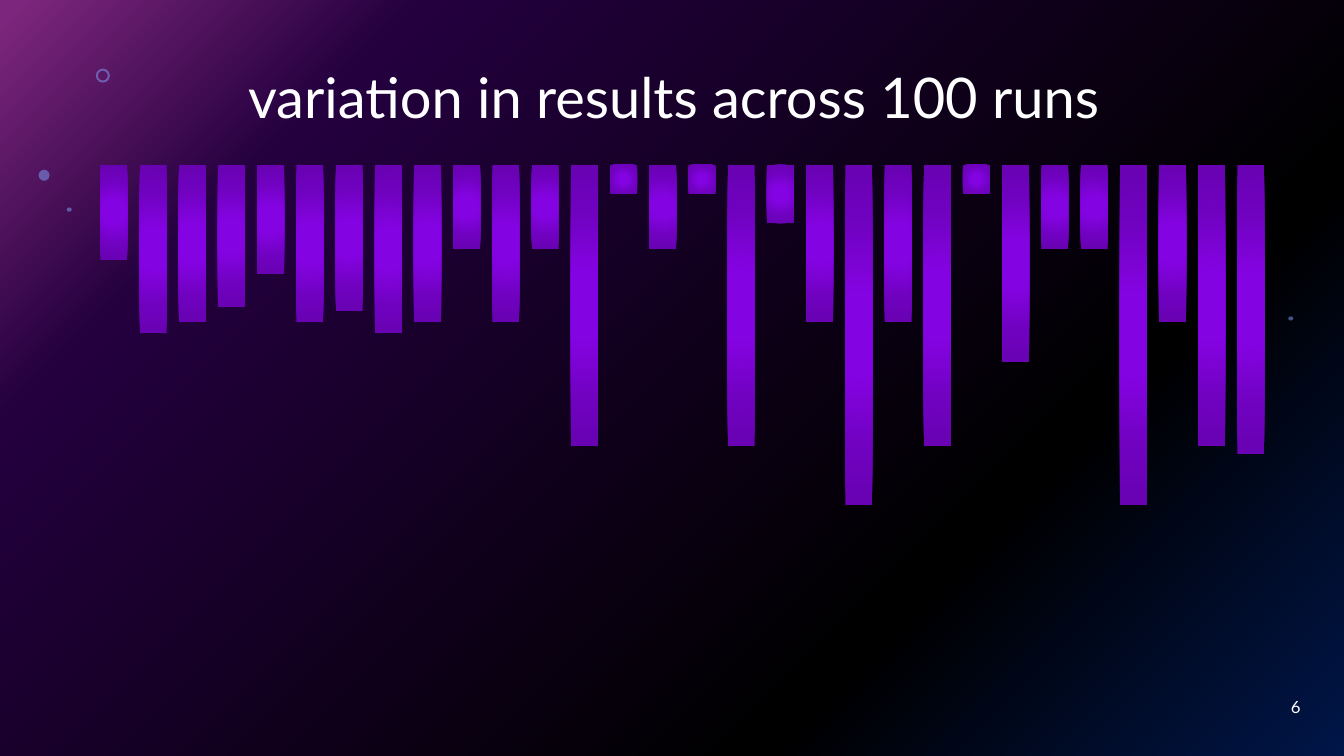
from dataclasses import dataclass

from lxml import etree
from pptx import Presentation
from pptx import util as u
from pptx.chart import data as cd
from pptx.dml import color
from pptx.enum import chart as ch, shapes, text
from pptx.oxml import ns, parse_xml

COLORS = {
    "white": "FFFFFF", "black": "000000", "star": "83A7FD",
    "navy": "022D94", "plum": "4A027F", "pink": "FC4EFB",
    "violet": "8403E2", "purple": "6F02BE", "indigo": "6802B2",
}
WIDTH, HEIGHT = u.Inches(13.33), u.Inches(7.5)
SKY = ((0, "navy"), (28, "black"), (80, "plum"), (99, "pink"))
BAR = ((0, "violet"), (23, "violet"), (69, "purple"), (97, "indigo"))
RESULTS = (82, 62, 65, 69, 78, 65, 68, 62, 65, 85, 65, 85, 31, 100, 85,
           100, 31, 92, 65, 15, 65, 31, 100, 54, 85, 85, 15, 65, 31, 29)
PLOT = {"x": 0.061, "y": 0.032, "w": 0.908, "h": 0.681}
AXIS_TOP = 108


@dataclass
class Box:
    x: float
    y: float
    w: float
    h: float

    def emu(self) -> tuple:
        return (int(WIDTH * self.x / 100), int(HEIGHT * self.y / 100),
                int(WIDTH * self.w / 100), int(HEIGHT * self.h / 100))


@dataclass
class Decor:
    box: Box
    kind: shapes.MSO_SHAPE
    color: str
    alpha: int


DECOR = (
    Decor(Box(0, 0, 100, 100), shapes.MSO_SHAPE.RECTANGLE, "black", 50),
    Decor(Box(7.13, 9.07, 1.05, 1.87), shapes.MSO_SHAPE.DONUT, "star", 49),
    Decor(Box(2.87, 22.45, 0.82, 1.47), shapes.MSO_SHAPE.OVAL, "star", 49),
    Decor(Box(4.96, 27.45, 0.38, 0.55), shapes.MSO_SHAPE.OVAL, "star", 49),
    Decor(Box(95.85, 41.85, 0.38, 0.55), shapes.MSO_SHAPE.OVAL, "star", 49),
)
TITLE = Box(6.98, 5.33, 86.27, 16)
CHART = Box(1.13, 19.33, 96.4, 76.8)
NUMBER = Box(75.02, 90.8, 22.5, 5.33)


def rgb(name: str) -> color.RGBColor:
    return color.RGBColor.from_string(COLORS[name])


def set_gradient(element, stops: tuple, focus: tuple) -> None:
    solid = next(element.iter(ns.qn("a:solidFill")))
    items = "".join(
        f'<a:gs pos="{pos * 1000}"><a:srgbClr val="{COLORS[name]}"/></a:gs>'
        for pos, name in stops)
    edges = " ".join(f'{side}="{share * 1000}"' for side, share in zip("ltrb", focus))
    solid.getparent().replace(solid, parse_xml(
        f'<a:gradFill {ns.nsdecls("a")} rotWithShape="1"><a:gsLst>{items}</a:gsLst>'
        f'<a:path path="circle"><a:fillToRect {edges}/></a:path></a:gradFill>'))


def add_decor(s, decor: Decor) -> None:
    sp = s.shapes.add_shape(decor.kind, *decor.box.emu())
    sp.shadow.inherit = False
    sp.line.fill.background()
    sp.fill.solid()
    sp.fill.fore_color.rgb = rgb(decor.color)
    tint = next(sp.element.spPr.iter(ns.qn("a:srgbClr")))
    etree.SubElement(tint, ns.qn("a:alpha")).set("val", str(decor.alpha * 1000))
    if decor.kind == shapes.MSO_SHAPE.DONUT:
        sp.adjustments[0] = 0.15


def set_text(sp, words: str, size: int, align: text.PP_ALIGN) -> None:
    tf = sp.text_frame
    tf.text = words
    tf.word_wrap = True
    tf.auto_size = text.MSO_AUTO_SIZE.NONE
    tf.vertical_anchor = text.MSO_ANCHOR.MIDDLE
    p = tf.paragraphs[0]
    p.alignment = align
    font = p.runs[0].font
    font.name, font.size = "Lato", u.Pt(size)
    font.color.rgb = rgb("white")


def add_results(s) -> None:
    data = cd.CategoryChartData()
    data.categories = [str(i + 1) for i in range(len(RESULTS))]
    data.add_series("Series 1", RESULTS)
    chart = s.shapes.add_chart(
        ch.XL_CHART_TYPE.COLUMN_CLUSTERED, *CHART.emu(), data).chart
    chart.has_legend = chart.has_title = False
    chart.font.name, chart.font.size = "Arial", u.Pt(10)
    chart.font.color.rgb = rgb("black")
    axis = chart.value_axis
    axis.minimum_scale, axis.maximum_scale = 0, AXIS_TOP
    axis.crosses = ch.XL_AXIS_CROSSES.MAXIMUM
    axis.has_major_gridlines = False
    axis.visible = chart.category_axis.visible = False
    plot = chart.plots[0]
    plot.gap_width, plot.overlap, plot.vary_by_categories = 45, 100, False
    series = plot.series[0]
    series.invert_if_negative = False
    series.format.fill.solid()
    series.format.fill.fore_color.rgb = rgb("violet")
    set_gradient(series.format.fill._xPr, BAR, (50, 50, 50, 50))
    area = chart.element.chart.plotArea
    for old in area.findall(ns.qn("c:layout")):
        area.remove(old)
    modes = '<c:xMode val="edge"/><c:yMode val="edge"/>'
    sizes = "".join(f'<c:{side} val="{share}"/>' for side, share in PLOT.items())
    area.insert(0, parse_xml(
        f'<c:layout {ns.nsdecls("c")}><c:manualLayout><c:layoutTarget val="inner"/>'
        f'{modes}{sizes}</c:manualLayout></c:layout>'))


def main() -> None:
    prs = Presentation()
    prs.slide_width, prs.slide_height = WIDTH, HEIGHT
    s = prs.slides.add_slide(prs.slide_layouts[5])
    s.background.fill.solid()
    s.background.fill.fore_color.rgb = rgb("black")
    set_gradient(s.element, SKY, (100, 100, 0, 0))
    for decor in DECOR:
        add_decor(s, decor)
    add_results(s)
    title = s.shapes.title
    title.left, title.top, title.width, title.height = TITLE.emu()
    set_text(title, "variation in results across 100 runs", 40, text.PP_ALIGN.CENTER)
    title.text_frame.paragraphs[0].line_spacing = 0.9
    s.shapes._spTree.append(title.element)
    number = s.shapes.add_textbox(*NUMBER.emu())
    set_text(number, "6", 12, text.PP_ALIGN.RIGHT)
    prs.save("out.pptx")


if __name__ == "__main__":
    main()
